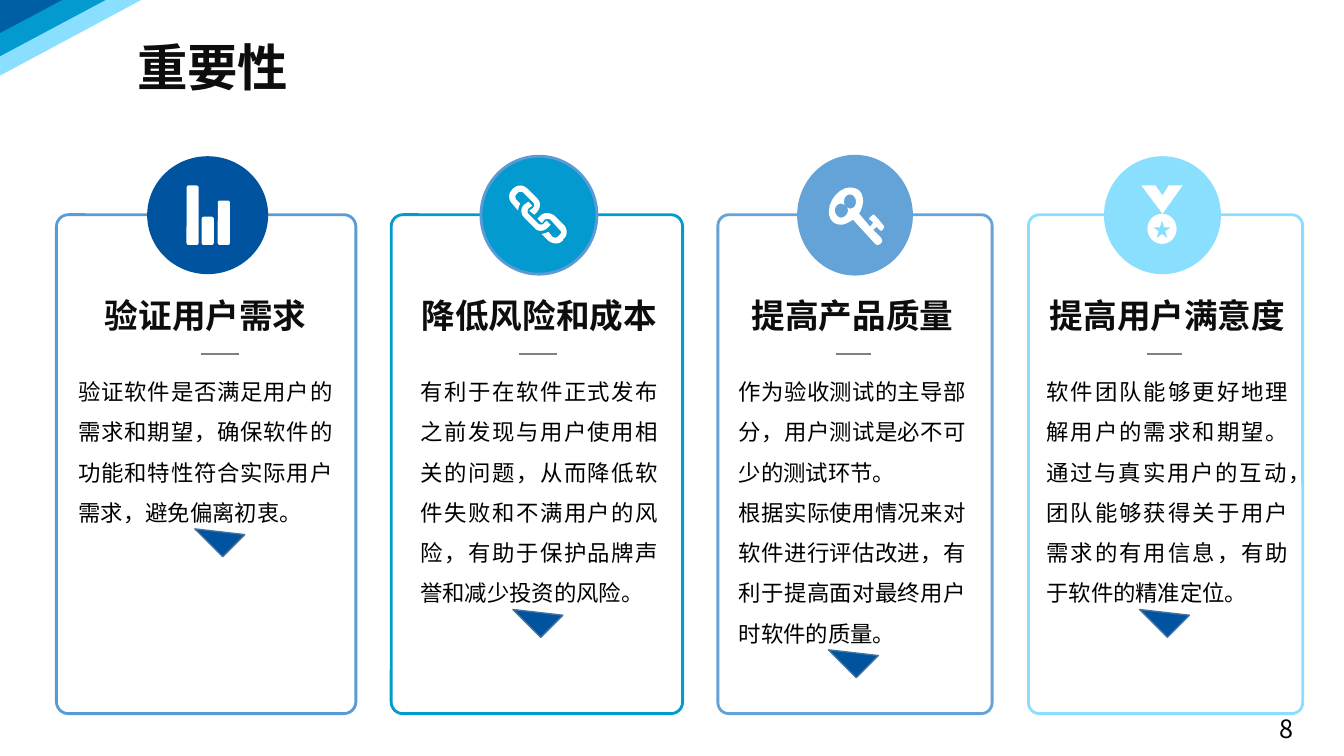
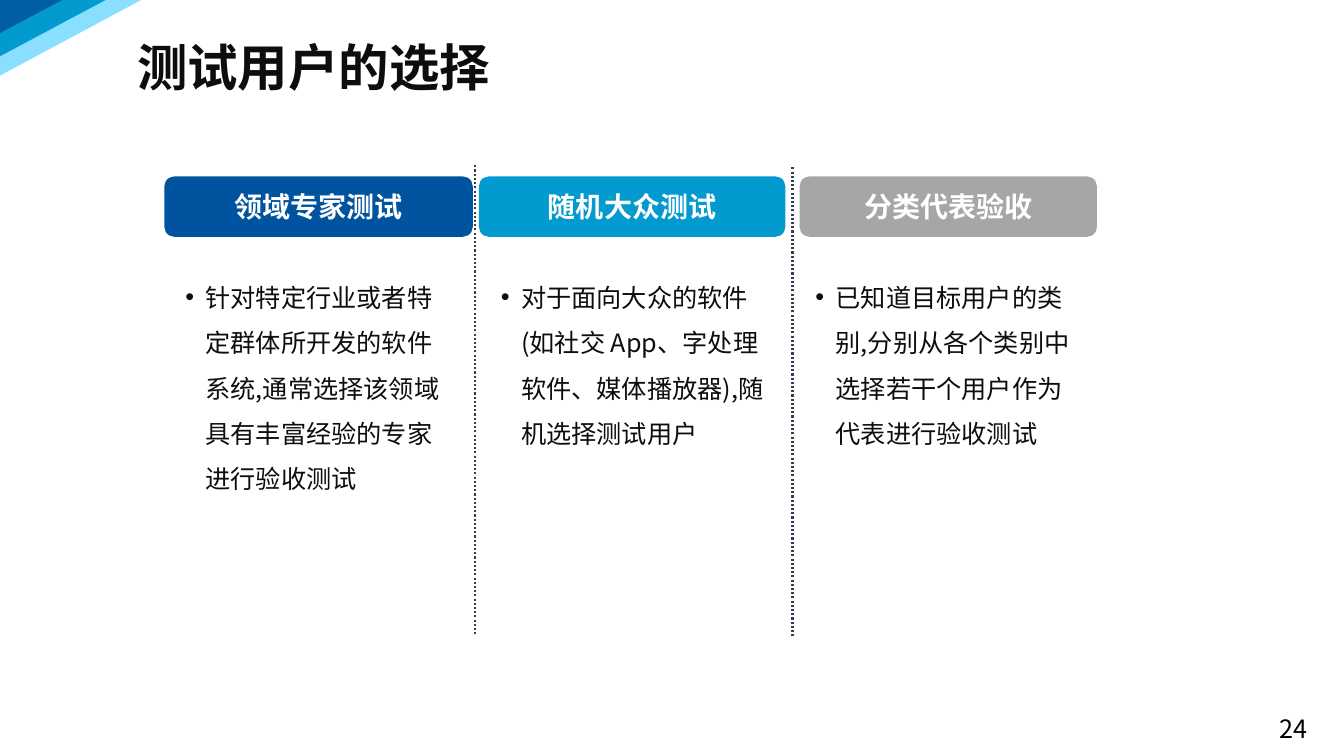
"""Build two slides on user testing: why it matters and how to pick testers."""
import dataclasses

import lxml.etree
import pptx
import pptx.dml.color
import pptx.enum.dml
import pptx.enum.lang
import pptx.enum.shapes
import pptx.enum.text
import pptx.oxml.ns
import pptx.util

Inches = pptx.util.Inches
SHAPE = pptx.enum.shapes.MSO_SHAPE
ALIGN = pptx.enum.text.PP_ALIGN
ANCHOR = pptx.enum.text.MSO_ANCHOR
qn = pptx.oxml.ns.qn


@dataclasses.dataclass(frozen=True)
class Theme:
    """Colours, fonts and type sizes shared by the slides."""
    font: str = "Noto Sans CJK SC"
    latin: str = "Arial"
    ink: str = "0D0D0D"
    black: str = "000000"
    white: str = "FFFFFF"
    grey: str = "A6A6A6"
    rule: str = "808080"
    divider: str = "333F50"
    navy: str = "00539E"
    navy_edge: str = "43739E"
    corner: str = "005EA4"
    blue: str = "039ACF"
    steel: str = "5B9BD5"
    soft: str = "64A3D7"
    sky: str = "89DFFD"
    title: int = 36
    heading: int = 24
    tab: int = 20
    bullet: int = 18
    body: int = 16


@dataclasses.dataclass(frozen=True)
class Card:
    """One framed card: geometry, colours, text and icon."""
    frame: tuple
    badge: tuple
    text_box: tuple
    rule: tuple
    edge: str
    fill: str
    badge_edge: str
    heading: str
    paragraphs: tuple
    lines: int
    icon: object


T = Theme()

CORNER_BANDS = (
    (T.corner, [(0, 0.36), (0, 0), (0.68, 0)]),
    (T.blue, [(0, 0.61), (0, 0.33), (0.62, 0), (1.13, 0)]),
    (T.sky, [(0, 0.75), (0, 0.56), (1.05, 0), (1.4, 0)]),
)

CHAIN_LINKS = (
    [(5.6, 2.24), (5.5, 2.14), (5.46, 2.11, 5.4, 2.1, 5.36, 2.14), (5.33, 2.17),
     (5.37, 2.21), (5.38, 2.21), (5.4, 2.18), (5.42, 2.17, 5.44, 2.17, 5.46, 2.18),
     (5.55, 2.28), (5.57, 2.29, 5.57, 2.32, 5.55, 2.33), (5.53, 2.35),
     (5.52, 2.36, 5.5, 2.36, 5.48, 2.35), (5.44, 2.3),
     (5.42, 2.31, 5.4, 2.32, 5.37, 2.32), (5.44, 2.39),
     (5.48, 2.42, 5.54, 2.43, 5.58, 2.39), (5.59, 2.37),
     (5.63, 2.34, 5.63, 2.28, 5.6, 2.24)],
    [(5.12, 1.93), (5.14, 1.91), (5.15, 1.9, 5.18, 1.9, 5.19, 1.91), (5.29, 2.01),
     (5.3, 2.02, 5.3, 2.05, 5.29, 2.06), (5.25, 2.09), (5.3, 2.13), (5.33, 2.1),
     (5.36, 2.06, 5.37, 2.01, 5.33, 1.97), (5.23, 1.87),
     (5.19, 1.83, 5.13, 1.83, 5.09, 1.87), (5.08, 1.88),
     (5.04, 1.92, 5.04, 1.98, 5.08, 2.02), (5.14, 2.09),
     (5.14, 2.06, 5.15, 2.04, 5.16, 2.02), (5.12, 1.98),
     (5.11, 1.96, 5.11, 1.94, 5.12, 1.93)],
    [(5.46, 2.23), (5.42, 2.19), (5.39, 2.22), (5.38, 2.23, 5.35, 2.23, 5.34, 2.22),
     (5.24, 2.12), (5.23, 2.11, 5.23, 2.09, 5.24, 2.07), (5.28, 2.04), (5.24, 2),
     (5.2, 2.03), (5.16, 2.06, 5.16, 2.12, 5.2, 2.16), (5.3, 2.26),
     (5.33, 2.3, 5.39, 2.3, 5.43, 2.26)],
)

KEY_OUTLINE = [
    (8.74, 2.29), (8.73, 2.29, 8.7, 2.26, 8.7, 2.25), (8.66, 2.28), (8.74, 2.36),
    (8.74, 2.37, 8.75, 2.38, 8.75, 2.39), (8.75, 2.41, 8.72, 2.43, 8.71, 2.43),
    (8.7, 2.43, 8.69, 2.43, 8.68, 2.42), (8.46, 2.18),
    (8.43, 2.2, 8.38, 2.23, 8.34, 2.23), (8.27, 2.23, 8.22, 2.18, 8.22, 2.1),
    (8.22, 1.98, 8.33, 1.86, 8.43, 1.86), (8.51, 1.86, 8.56, 1.91, 8.56, 1.99),
    (8.56, 2.04, 8.54, 2.09, 8.52, 2.12), (8.63, 2.25), (8.66, 2.21),
    (8.66, 2.2, 8.62, 2.18, 8.62, 2.17), (8.62, 2.16, 8.66, 2.13, 8.66, 2.13),
    (8.67, 2.13), (8.68, 2.14, 8.77, 2.24, 8.77, 2.25),
    (8.77, 2.26, 8.75, 2.29, 8.74, 2.29)]
KEY_HOLE = [
    (8.43, 1.93), (8.39, 1.93, 8.37, 1.97, 8.37, 2), (8.37, 2.01, 8.37, 2.02, 8.38, 2.03),
    (8.36, 2.03, 8.35, 2.02, 8.34, 2.02), (8.31, 2.02, 8.28, 2.05, 8.28, 2.09),
    (8.28, 2.12, 8.31, 2.16, 8.34, 2.16), (8.38, 2.16, 8.41, 2.12, 8.41, 2.09),
    (8.41, 2.08, 8.41, 2.07, 8.4, 2.06), (8.41, 2.06, 8.42, 2.07, 8.43, 2.07),
    (8.47, 2.07, 8.49, 2.04, 8.49, 2), (8.49, 1.97, 8.47, 1.93, 8.43, 1.93)]


def rgb(code):
    """Turn a hex code into a colour."""
    return pptx.dml.color.RGBColor.from_string(code)


def paint(sp, fill=None, edge=None, weight=2):
    """Set fill and outline and drop the shadow."""
    sp.shadow.inherit = False
    if fill:
        sp.fill.solid()
        sp.fill.fore_color.rgb = rgb(fill)
    else:
        sp.fill.background()
    if edge:
        sp.line.color.rgb = rgb(edge)
        sp.line.width = pptx.util.Pt(weight)
    else:
        sp.line.fill.background()
    return sp


def add_shape(s, kind, box, fill=None, edge=None, weight=2):
    """Add a painted preset shape."""
    sp = s.shapes.add_shape(kind, *map(Inches, box))
    return paint(sp, fill, edge, weight)


def flatten(contour, steps=6):
    """Turn line and cubic curve steps into EMU points."""
    points = [contour[0]]
    for step in contour[1:]:
        if len(step) == 2:
            points.append(step)
            continue
        xs, ys = (points[-1][0], *step[::2]), (points[-1][1], *step[1::2])
        for i in range(1, steps + 1):
            t = i / steps
            weights = ((1 - t) ** 3, 3 * t * (1 - t) ** 2, 3 * t * t * (1 - t), t ** 3)
            points.append(tuple(sum(w * v for w, v in zip(weights, vs)) for vs in (xs, ys)))
    return [(Inches(x), Inches(y)) for x, y in points]


def add_freeform(s, fill, *contours):
    """Add a filled outline; further contours cut holes."""
    first, *rest = map(flatten, contours)
    builder = s.shapes.build_freeform(*first[0])
    builder.add_line_segments(first[1:])
    for points in rest:
        builder.move_to(*points[0])
        builder.add_line_segments(points[1:])
    return paint(builder.convert_to_shape(), fill)


def add_line(s, start, end, color, weight, dash=None):
    """Add a straight connector without a shadow."""
    line = s.shapes.add_connector(
        pptx.enum.shapes.MSO_CONNECTOR.STRAIGHT, *map(Inches, (*start, *end)))
    line.line.color.rgb = rgb(color)
    line.line.width = pptx.util.Pt(weight)
    if dash:
        line.line.dash_style = dash
    lxml.etree.SubElement(line.element.spPr, qn("a:effectLst"))


def add_run(p, text, size, color, bold=False, latin=T.font):
    """Add one formatted run."""
    r = p.add_run()
    r.text = text
    r.font.size = pptx.util.Pt(size)
    r.font.bold = bold
    r.font.color.rgb = rgb(color)
    r.font.name = latin
    r.font.language_id = pptx.enum.lang.MSO_LANGUAGE_ID.SIMPLIFIED_CHINESE
    ea = lxml.etree.SubElement(r.font._element, qn("a:ea"))
    ea.set("typeface", T.font)


def add_text(s, box, paragraphs, size, color, align=ALIGN.LEFT, spacing=1.0,
             bulleted=False, **style):
    """Add a wrapping text box with one run per paragraph."""
    tf = s.shapes.add_textbox(*map(Inches, box)).text_frame
    tf.word_wrap = True
    for i, text in enumerate(paragraphs):
        p = tf.add_paragraph() if i else tf.paragraphs[0]
        p.alignment = align
        p.line_spacing = spacing
        if bulleted:
            pPr = p._p.get_or_add_pPr()
            pPr.set("marL", str(Inches(0.2)))
            pPr.set("indent", str(-Inches(0.2)))
            lxml.etree.SubElement(pPr, qn("a:buFont")).set("typeface", T.latin)
            lxml.etree.SubElement(pPr, qn("a:buChar")).set("char", "•")
        add_run(p, text, size, color, **style)


def add_slide(prs, title, number):
    """Add a title-only slide with its title and page number."""
    s = prs.slides.add_slide(prs.slide_layouts[5])
    sp = s.shapes.title
    sp.left, sp.top, sp.width, sp.height = map(Inches, (1.26, 0.31, 10, 0.71))
    tf = sp.text_frame
    tf.vertical_anchor = ANCHOR.TOP
    tf.auto_size = pptx.enum.text.MSO_AUTO_SIZE.NONE
    p = tf.paragraphs[0]
    p.alignment = ALIGN.LEFT
    add_run(p, title, T.title, T.ink, bold=True)
    add_text(s, (12.59, 7.03, 0.55, 0.37), [number], T.bullet, T.black)
    return s


def add_corner_bands(s):
    """Draw the corner bands and move them to the shared layout."""
    for fill, outline in CORNER_BANDS:
        band = add_freeform(s, fill, outline)
        s.slide_layout.shapes.element.append(band.element)


def draw_bars(s):
    """Draw the bar icon."""
    for left, top in ((1.85, 1.84), (2, 2.15), (2.16, 1.99)):
        add_shape(s, SHAPE.ROUNDED_RECTANGLE, (left, top, 0.12, 2.43 - top), T.white)


def draw_chain(s):
    """Draw the chain icon."""
    for link in CHAIN_LINKS:
        add_freeform(s, T.white, link)


def draw_key(s):
    """Draw the key icon."""
    add_freeform(s, T.white, KEY_OUTLINE, KEY_HOLE)


def draw_medal(s):
    """Draw the medal icon."""
    add_freeform(s, T.white, [(11.32, 1.84), (11.46, 1.84), (11.53, 1.94),
                              (11.59, 1.84), (11.73, 1.84), (11.53, 2.12)])
    add_shape(s, SHAPE.OVAL, (11.38, 2.12, 0.29, 0.3), T.white)
    add_shape(s, SHAPE.STAR_5_POINT, (11.44, 2.19, 0.17, 0.17), T.sky)


def add_card(s, card):
    """Draw a card with badge, icon, heading, rule, body and pointer."""
    left, width = card.frame
    frame = add_shape(s, SHAPE.ROUNDED_RECTANGLE, (left, 2.13, width, 4.95), edge=card.edge)
    frame.adjustments[0] = 0.04
    left, width = card.badge
    add_shape(s, SHAPE.OVAL, (left, 1.55, width, 1.17), card.fill, card.badge_edge)
    card.icon(s)
    left, width = card.text_box
    height = 0.1 + 0.4 * card.lines
    add_text(s, (left, 2.88, width, 0.5), [card.heading], T.heading, T.ink,
             ALIGN.CENTER, bold=True, latin=T.latin)
    add_text(s, (left, 3.57, width, height), card.paragraphs, T.body, T.black,
             ALIGN.JUSTIFY, 1.5)
    start, end = card.rule
    add_line(s, (start, 3.51), (end, 3.51), T.rule, 1.75)
    pointer = add_shape(s, SHAPE.RIGHT_TRIANGLE,
                        ((start + end - 0.31) / 2, 3.38 + height, 0.31, 0.39),
                        T.navy, T.navy_edge, 1)
    pointer.rotation = 315


def add_column(s, left, width, text_left, fill, heading, body):
    """Draw a coloured tab with its bullet below."""
    sp = add_shape(s, SHAPE.ROUNDED_RECTANGLE, (left, 1.75, width, 0.6), fill)
    sp.text_frame.vertical_anchor = ANCHOR.MIDDLE
    p = sp.text_frame.paragraphs[0]
    p.alignment = ALIGN.CENTER
    add_run(p, heading, T.tab, T.white, bold=True)
    add_text(s, (text_left, 2.6, 2.83, 2.37), [body], T.bullet, T.ink,
             spacing=1.5, bulleted=True)


CARDS = (
    Card((0.56, 2.97), (1.46, 1.2), (0.68, 2.72), (1.99, 2.37), T.steel, T.navy, None,
         "验证用户需求",
         ("验证软件是否满足用户的需求和期望，确保软件的功能和特性符合实际用户需求，避免偏离初衷。",),
         4, draw_bars),
    Card((3.88, 2.89), (4.77, 1.15), (4.07, 2.56), (5.15, 5.52), T.blue, T.blue, T.steel,
         "降低风险和成本",
         ("有利于在软件正式发布之前发现与用户使用相关的问题，从而降低软件失败和不满用户的风险，有助于保护品牌声誉和减少投资的风险。",),
         6, draw_chain),
    Card((7.12, 2.72), (7.92, 1.12), (7.23, 2.45), (8.29, 8.64), T.soft, T.soft, T.soft,
         "提高产品质量",
         ("作为验收测试的主导部分，用户测试是必不可少的测试环节。",
          "根据实际使用情况来对软件进行评估改进，有利于提高面对最终用户时软件的质量。"),
         7, draw_key),
    Card((10.2, 2.72), (10.95, 1.16), (10.28, 2.6), (11.38, 11.72), T.sky, T.sky, None,
         "提高用户满意度",
         ("软件团队能够更好地理解用户的需求和期望。通过与真实用户的互动，团队能够获得关于用户需求的有用信息，有助于软件的精准定位。",),
         6, draw_medal),
)

COLUMNS = (
    (1.63, 3.06, 1.74, T.navy, "领域专家测试",
     "针对特定行业或者特定群体所开发的软件系统,通常选择该领域具有丰富经验的专家进行验收测试"),
    (4.75, 3.04, 4.87, T.blue, "随机大众测试",
     "对于面向大众的软件(如社交 App、字处理软件、媒体播放器),随机选择测试用户"),
    (7.93, 2.95, 7.99, T.grey, "分类代表验收",
     "已知道目标用户的类别,分别从各个类别中选择若干个用户作为代表进行验收测试"),
)


def main():
    """Build and save the presentation."""
    prs = pptx.Presentation()
    prs.slide_width, prs.slide_height = Inches(13.33), Inches(7.5)
    s = add_slide(prs, "重要性", "8")
    add_corner_bands(s)
    for card in CARDS:
        add_card(s, card)
    s = add_slide(prs, "测试用户的选择", "24")
    for column in COLUMNS:
        add_column(s, *column)
    for x, top in ((4.71, 1.64), (7.86, 1.66)):
        add_line(s, (x, top), (x, top + 4.66), T.divider, 1.5,
                 pptx.enum.dml.MSO_LINE.ROUND_DOT)
    prs.save("out.pptx")


if __name__ == "__main__":
    main()
